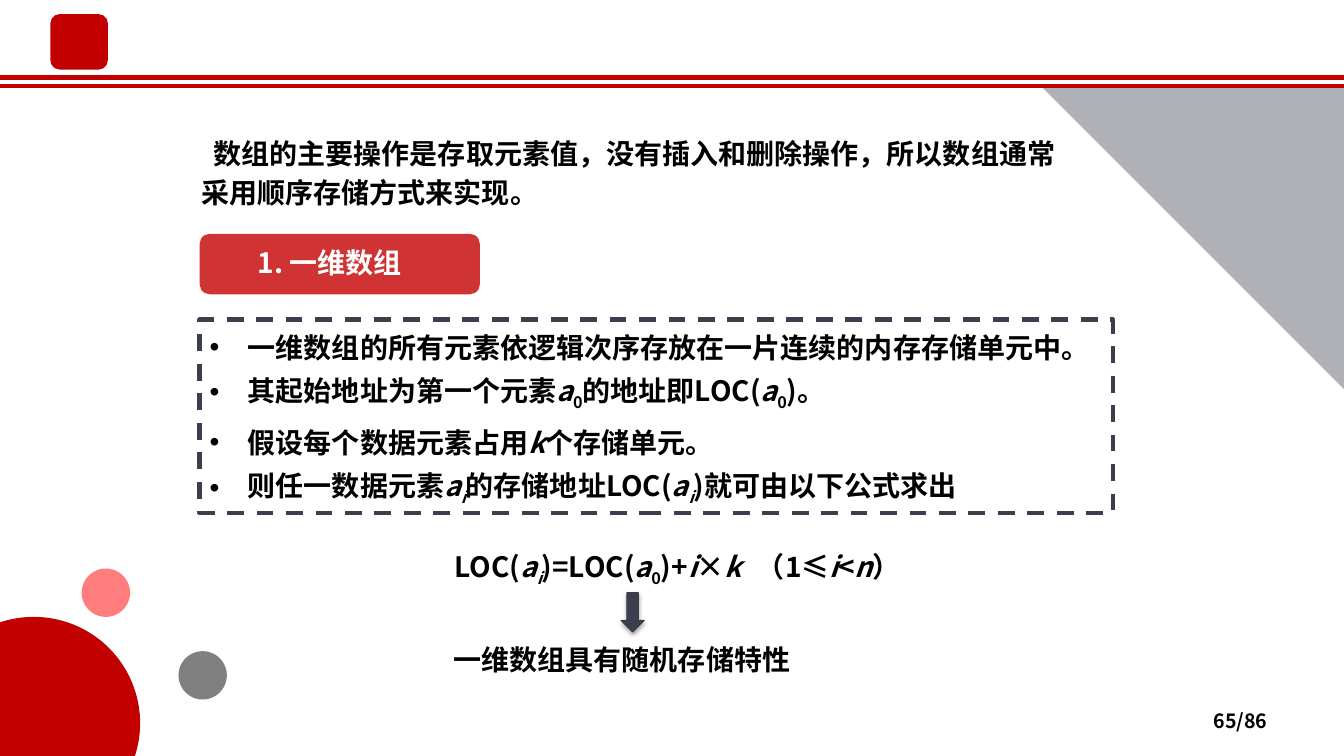
"""Build the slide on storing one-dimensional arrays."""
from lxml.etree import SubElement
from pptx import Presentation
from pptx.dml.color import RGBColor
from pptx.enum.dml import MSO_LINE
from pptx.enum.shapes import MSO_CONNECTOR, MSO_SHAPE
from pptx.enum.text import MSO_ANCHOR, PP_ALIGN
from pptx.oxml.ns import qn
from pptx.util import Inches, Pt

FONT = "Noto Sans CJK SC"
RED, SLATE, BLACK, WHITE = "C30000", "3B3E4D", "000000", "FFFFFF"


def rgb(code):
    return RGBColor.from_string(code)


def node(parent, tag, **attrs):
    return SubElement(parent, qn(tag), {key: str(val) for key, val in attrs.items()})


def write(frame, text, size=20, color=BLACK, align=PP_ALIGN.LEFT, anchor=MSO_ANCHOR.TOP,
          lead=None, gap=0, bullet=None, margin=0, indent=0, tab=None):
    frame.word_wrap = True
    frame.vertical_anchor = anchor
    for row, line in enumerate(text.split("\n")):
        para = frame.paragraphs[0] if row == 0 else frame.add_paragraph()
        props = para._p.get_or_add_pPr()
        props.set("marL", str(Inches(margin)))
        props.set("indent", str(Inches(indent)))
        if bullet:
            node(props, "a:buFont", typeface="Arial")
            node(props, "a:buChar", char=bullet)
        if tab:
            node(node(props, "a:tabLst"), "a:tab", pos=Inches(tab), algn="l")
        para.alignment = align
        if lead:
            para.line_spacing = Pt(lead)
        if row and gap:
            para.space_before = Pt(gap)
        for turn, part in enumerate(line.split("*")):
            for level, bit in enumerate(part.split("_")):
                if not bit:
                    continue
                run = para.add_run()
                run.text = bit
                font = run.font
                font.size, font.name, font.bold = Pt(size), FONT, True
                font.italic = turn % 2 == 1
                font.color.rgb = rgb(color)
                mark = run._r.get_or_add_rPr()
                node(mark, "a:ea", typeface=FONT)
                if level % 2:
                    mark.set("baseline", "-25000")


class Board:
    def __init__(self, deck):
        self.shapes = deck.slides.add_slide(deck.slide_layouts[6]).shapes

    def rule(self, top):
        line = self.shapes.add_connector(
            MSO_CONNECTOR.STRAIGHT, 0, Inches(top), Inches(13.33), Inches(top))
        line.line.color.rgb = rgb(RED)
        line.line.width = Pt(3)
        node(line._element.spPr, "a:effectLst")

    def shape(self, kind, box, fill=None, alpha=None, line=None, width=1, dash=None):
        item = self.shapes.add_shape(kind, *map(Inches, box))
        item.shadow.inherit = False
        if fill:
            item.fill.solid()
            item.fill.fore_color.rgb = rgb(fill)
        else:
            item.fill.background()
        if alpha:
            tint = item._element.spPr.find(qn("a:solidFill"))[0]
            node(tint, "a:alpha", val=alpha * 1000)
        if line:
            item.line.color.rgb = rgb(line)
            item.line.width = Pt(width)
            item.line.dash_style = dash
        else:
            item.line.fill.background()
        return item

    def shade(self, item):
        effect = item._element.spPr.find(qn("a:effectLst"))
        cast = node(effect, "a:outerShdw", blurRad=Pt(3.1), dist=Pt(1.8),
                    dir=5400000, rotWithShape=0)
        node(node(cast, "a:srgbClr", val=BLACK), "a:alpha", val=35000)

    def text(self, box, words, **style):
        write(self.shapes.add_textbox(*map(Inches, box)).text_frame, words, **style)


def main():
    deck = Presentation()
    deck.slide_width, deck.slide_height = Inches(13.33), Inches(7.5)
    board = Board(deck)

    for top in (0.77, 0.85):
        board.rule(top)
    board.shape(MSO_SHAPE.ROUNDED_RECTANGLE, (0.5, 0.14, 0.57, 0.55), RED)

    facts = board.shape(MSO_SHAPE.RECTANGLE, (1.98, 3.17, 9.06, 1.92),
                        line=SLATE, width=3, dash=MSO_LINE.DASH)
    write(facts.text_frame,
          "一维数组的所有元素依逻辑次序存放在一片连续的内存存储单元中。\n"
          "其起始地址为第一个元素*a*_0_的地址即LOC(*a*_0_)。\n"
          "假设每个数据元素占用*k*个存储单元。\n"
          "则任一数据元素*a_i_*的存储地址LOC(*a_i_*)就可由以下公式求出",
          lead=28, gap=6, bullet="•", margin=0.38, indent=-0.38)

    board.text((4.41, 5.4, 5.47, 0.44),
               "LOC(*a_i_*)=LOC(*a*_0_)+*i*×*k*\t（1≤*i*<*n*）", tab=3.12)
    board.text((4.4, 6.32, 3.98, 0.44), "一维数组具有随机存储特性")
    arrow = board.shape(MSO_SHAPE.DOWN_ARROW, (6.16, 5.88, 0.23, 0.39),
                        SLATE, line="393C4C", width=0.75)
    board.shade(arrow)

    board.text((1.9, 1.25, 8.91, 0.88),
               "数组的主要操作是存取元素值，没有插入和删除操作，"
               "所以数组通常采用顺序存储方式来实现。", lead=28, indent=0.12)
    board.text((9.56, 6.95, 3.11, 0.4), "65/86", size=14,
               align=PP_ALIGN.RIGHT, anchor=MSO_ANCHOR.MIDDLE)

    board.shape(MSO_SHAPE.ROUNDED_RECTANGLE, (1.98, 2.32, 2.78, 0.6), RED, alpha=80)
    board.text((2.13, 2.39, 2.28, 0.44), "1. 一维数组", color=WHITE, align=PP_ALIGN.CENTER)

    corner = board.shape(MSO_SHAPE.RIGHT_TRIANGLE, (10.34, 0.87, 2.99, 2.99), SLATE, alpha=40)
    corner.rotation = 180
    for left, top, size, color in ((-0.72, 6.12, 2.11, RED),
                                   (1.77, 6.46, 0.48, "808080"),
                                   (0.81, 5.64, 0.48, "FF7D7D")):
        board.shape(MSO_SHAPE.OVAL, (left, top, size, size), color)

    deck.save("out.pptx")


if __name__ == "__main__":
    main()
